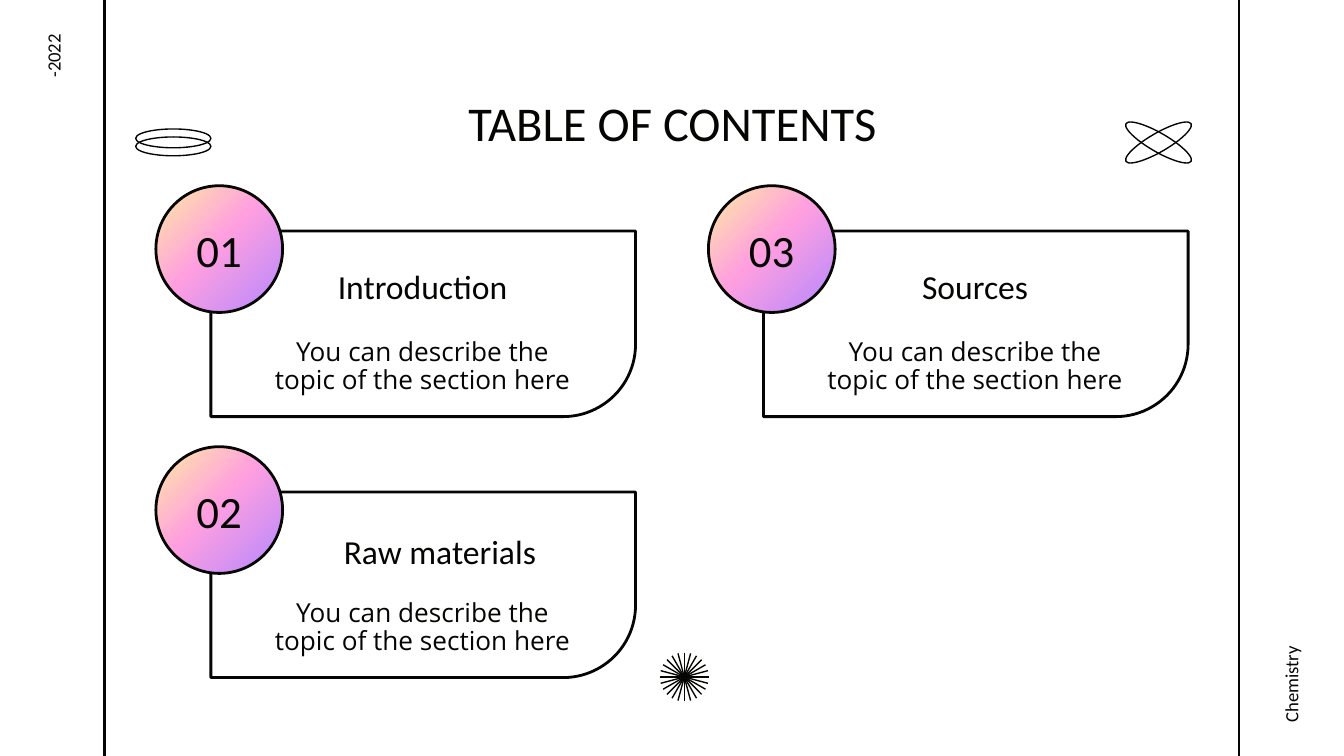
from copy import deepcopy
from math import cos, radians, sin

from lxml import etree
from pptx import Presentation
from pptx.dml.color import RGBColor
from pptx.enum.shapes import MSO_CONNECTOR, MSO_SHAPE
from pptx.enum.text import MSO_ANCHOR, MSO_AUTO_SIZE, PP_ALIGN
from pptx.oxml.ns import qn
from pptx.util import Pt

ELLIPSE = MSO_SHAPE.OVAL
CARD_SHAPE = MSO_SHAPE.ROUND_2_DIAG_RECTANGLE
STRAIGHT = MSO_CONNECTOR.STRAIGHT
MIDDLE = MSO_ANCHOR.MIDDLE
NO_AUTOFIT = MSO_AUTO_SIZE.NONE
LEFT, CENTER, RIGHT = PP_ALIGN.LEFT, PP_ALIGN.CENTER, PP_ALIGN.RIGHT

INK = "050504"
BADGE_STOPS = [(0, "FFEDA1"), (0.47, "FF9FE0"), (1, "B388FF")]
HEADING_FONT, BODY_FONT = "Calibri", "Open Sans"
PAGE_WIDTH, PAGE_HEIGHT = 720, 405
CARD_WIDTH, CARD_HEIGHT = 227.5, 99.4
COLUMN_PITCH, ROW_PITCH = 296, 139.8
DESCRIPTION = "You can describe the topic of the section here"


def color(hex_string):
    return RGBColor.from_string(hex_string)


def add_line(page, start, end, weight):
    line = page.shapes.add_connector(STRAIGHT, *map(Pt, start + end))
    line.line.color.rgb = color(INK)
    line.line.width = Pt(weight)
    etree.SubElement(line._element.spPr, qn("a:effectLst"))


def add_outline(page, kind, box, weight, rotation=0):
    """Add an unfilled shape with an ink outline."""
    shape = page.shapes.add_shape(kind, *map(Pt, box))
    shape.shadow.inherit = False
    shape.fill.background()
    shape.line.color.rgb = color(INK)
    shape.line.width = Pt(weight)
    shape.rotation = rotation
    return shape


def write(frame, text, size, font=HEADING_FONT, align=CENTER, side_inset=7.2):
    """Fill a text frame with one vertically centred paragraph."""
    frame.text = text
    frame.word_wrap = True
    frame.auto_size = NO_AUTOFIT
    frame.vertical_anchor = MIDDLE
    frame.margin_left = frame.margin_right = Pt(side_inset)
    frame.margin_top = frame.margin_bottom = Pt(7.2)
    para = frame.paragraphs[0]
    para.alignment = align
    span = para.runs[0]
    span.font.size = Pt(size)
    span.font.name = font
    span.font.color.rgb = color(INK)
    return para


def add_text(page, box, *args, **options):
    """Add a text box and return it with its paragraph."""
    label = page.shapes.add_textbox(*map(Pt, box))
    return label, write(label.text_frame, *args, **options)


def fill_gradient(shape, stops, angle):
    shape.fill.gradient()
    shape.fill.gradient_angle = angle
    stop_list = shape._element.spPr.find(".//" + qn("a:gsLst"))
    stop_list.insert(1, deepcopy(stop_list[0]))
    for stop, (position, hex_string) in zip(shape.fill.gradient_stops, stops):
        stop.color.rgb = color(hex_string)
        stop.position = position


def add_title(page, box, text):
    title = page.shapes.title
    title.left, title.top, title.width, title.height = map(Pt, box)
    write(title.text_frame, text, 26)


def add_page_frame(page, box):
    """Draw the side rules and the vertical labels in the margins."""
    left, top, width, height = box
    for x in (left + 56.2, left + width - 56.2):
        add_line(page, (x, top - 2), (x, top + height + 2), 1.5)
    labels = [
        ((-22.3, 59, 101.5, 20.2), "-2022", RIGHT),
        ((623.5, 306, 136.1, 25.9), "Chemistry", LEFT),
    ]
    for (x, y, w, h), text, align in labels:
        label, _ = add_text(page, (left + x, top + y, w, h), text, 10,
                            align=align, side_inset=0)
        label.rotation = 270


def add_card(page, box, number, heading, heading_shift):
    """Draw one section card with its number badge at the top left."""
    left, top, width, height = box
    card = add_outline(page, CARD_SHAPE, box, 1.5)
    card.adjustments[0], card.adjustments[1] = 0.39, 0
    badge = add_outline(page, ELLIPSE, (left - 29.5, top - 24.3, 67.9, 67.9), 1.5)
    fill_gradient(badge, BADGE_STOPS, 315)
    add_text(page, (left - 25.5, top - 9.3, 59.8, 38.2), number, 24)
    shift_x, shift_y = heading_shift
    add_text(page, (left + 27 + shift_x, top + 6.5 + shift_y, 172.8, 45.4),
             heading, 18)
    _, para = add_text(page, (left + 27, top + 53.9, 172.8, 38.2),
                       DESCRIPTION, 14, font=BODY_FONT)
    para.line_spacing = 0.9


def add_starburst(page, box, count=12):
    left, top, width, height = box
    center_x, center_y, radius = left + width / 2, top + height / 2, width / 2
    for index in range(count):
        angle = radians(index * 180 / count)
        dx, dy = radius * cos(angle), radius * sin(angle)
        add_line(page, (center_x - dx, center_y - dy),
                 (center_x + dx, center_y + dy), 0.75)


def add_ellipse_pair(page, box, rotations=(0, 0), drop=0):
    """Draw two thin ellipses, the second turned or lowered."""
    left, top, width, height = box
    for index, rotation in enumerate(rotations):
        add_outline(page, ELLIPSE, (left, top + index * drop, width, height),
                    0.75, rotation)


def add_contents_page(deck):
    page = deck.slides.add_slide(deck.slide_layouts[5])
    page.background.fill.solid()
    page.background.fill.fore_color.rgb = color("FFFFFF")
    add_page_frame(page, (0, 0, PAGE_WIDTH, PAGE_HEIGHT))
    add_title(page, (64.8, 42.5, 591.1, 45.4), "TABLE OF CONTENTS")
    sections = [
        ("Introduction", (0, 0)),
        ("Raw materials", (9.3, 2.7)),
        ("Sources", (0, 0)),
    ]
    for index, (heading, shift) in enumerate(sections):
        column, row = divmod(index, 2)
        box = (113 + column * COLUMN_PITCH, 123.8 + row * ROW_PITCH,
               CARD_WIDTH, CARD_HEIGHT)
        add_card(page, box, f"{index + 1:02}", heading, shift)
    add_starburst(page, (353.5, 349.6, 26.2, 26.2))
    add_ellipse_pair(page, (600.5, 71.3, 40.3, 10.1), rotations=(30, 330))
    add_ellipse_pair(page, (72.7, 69.1, 40.3, 10.1), drop=4.3)


def main():
    deck = Presentation()
    deck.slide_width, deck.slide_height = Pt(PAGE_WIDTH), Pt(PAGE_HEIGHT)
    add_contents_page(deck)
    deck.save("out.pptx")


if __name__ == "__main__":
    main()
